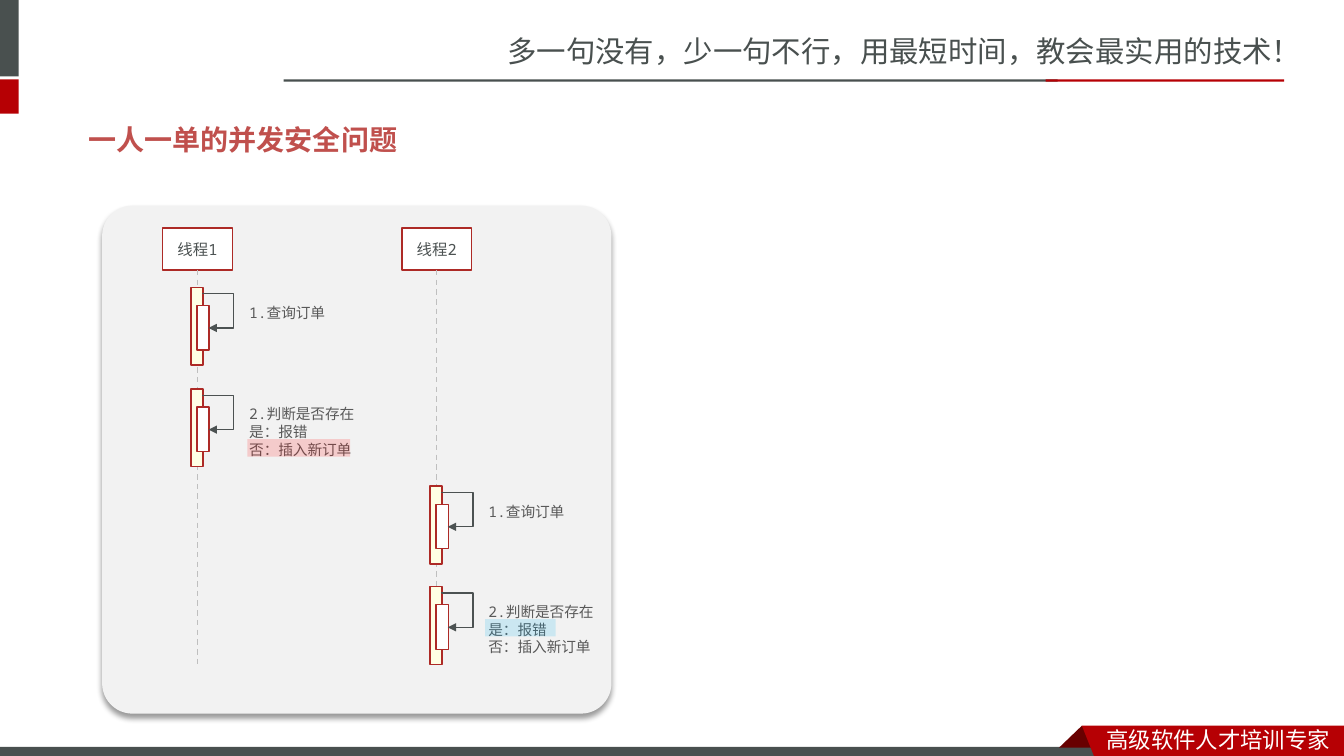
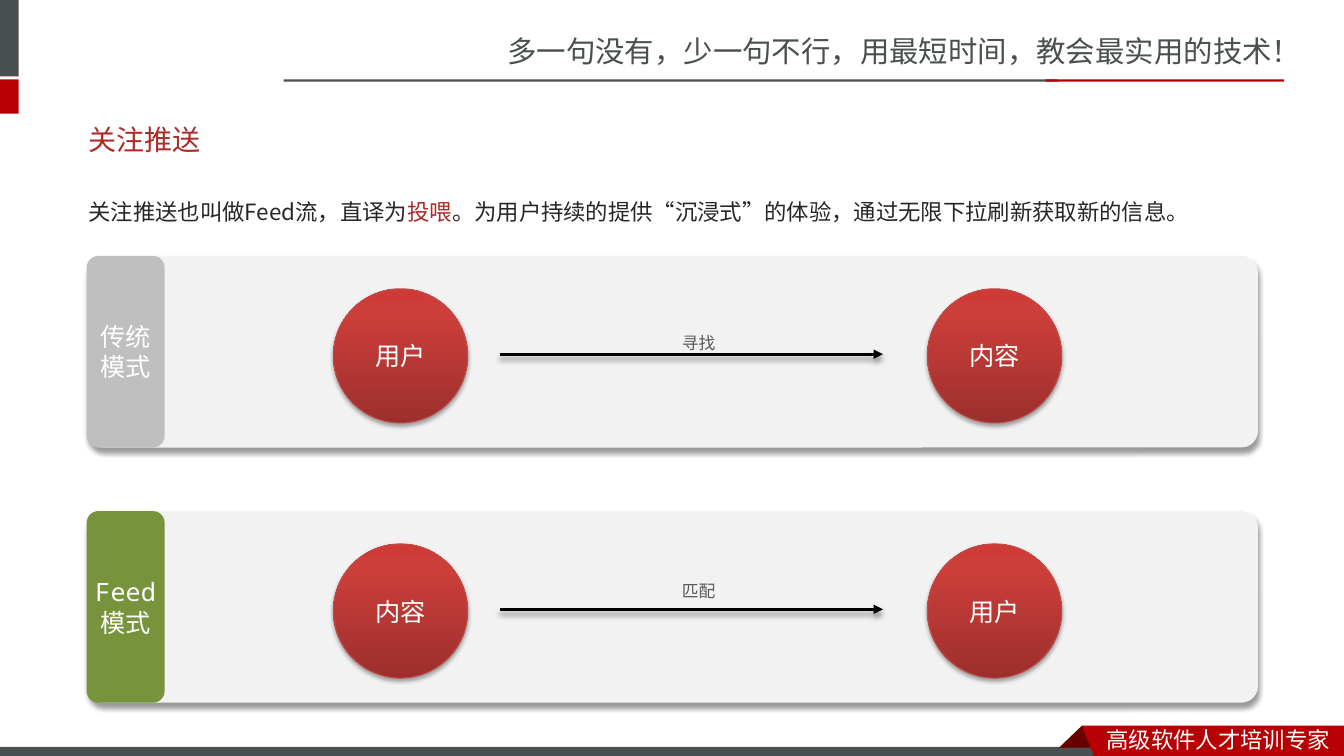
import pptx
import pptx.dml.color
import pptx.enum.dml
import pptx.enum.shapes
import pptx.enum.text
import pptx.oxml
import pptx.oxml.ns
import pptx.util
from lxml import etree

SHAPE = pptx.enum.shapes.MSO_SHAPE
LINK = pptx.enum.shapes.MSO_CONNECTOR
ANCHOR = pptx.enum.text.MSO_ANCHOR
CENTER = pptx.enum.text.PP_ALIGN.CENTER
GROW = pptx.enum.text.MSO_AUTO_SIZE.SHAPE_TO_FIT_TEXT
DASH = pptx.enum.dml.MSO_LINE.DASH
Pt, Inches = pptx.util.Pt, pptx.util.Inches
qn = pptx.oxml.ns.qn

WIDTH, HEIGHT = Inches(13.33), Inches(7.5)


class Theme:
    # Colours
    slate, red, fold = "49504F", "B60004", "680000"
    accent, title_soft, ink, note = "AD2A26", "C0504D", "262626", "595959"
    head, white, black = "4C5252", "FFFFFF", "000000"
    panel, grey, green, cream = "F2F2F2", "BFBFBF", "77933C", "FFFFE4"
    mark_red, mark_blue, ball_line = "FF0000", "00B0F0", "BF4C48"
    ball = ((0, "9C2F2D"), (80, "CB3E3A"), (100, "CE3B37"))
    # Type sizes
    slogan_size, title_size, body_size, ribbon_size = 21, 20, 16, 16
    ball_size, label_size, head_size, note_size = 18, 12, 11, 10.5
    # Fonts
    sans, body, mono, roman = "Noto Sans CJK SC", "Noto Sans CJK JP", "Noto Sans Mono", "Roboto"
    # Shadows: opacity %, blur, distance
    deep, light = (40, 4, 3), (35, 3.1, 1.8)


# Lengths are percentages of the slide's width and height
def col(share):
    return round(WIDTH * share / 100)


def row(share):
    return round(HEIGHT * share / 100)


def box(x, y, w, h):
    return col(x), row(y), col(w), row(h)


def rgb(value):
    return pptx.dml.color.RGBColor.from_string(value)


def apply(target, values):
    for name, value in values.items():
        setattr(target, name, value)


def add_xml(parent, tag, **attrs):
    return etree.SubElement(parent, qn(tag), {k: str(v) for k, v in attrs.items()})


# Effects, fills and arrowheads
def cast_shadow(effects, shadow):
    opacity, blur, distance = shadow
    outer = add_xml(effects, "a:outerShdw", blurRad=Pt(blur), dist=Pt(distance),
                    dir=5400000, algn="t", rotWithShape=0)
    color = add_xml(outer, "a:srgbClr", val=Theme.black)
    add_xml(color, "a:alpha", val=opacity * 1000)


def fill_gradient(sp, stops):
    sp.fill.gradient()
    sp.fill.gradient_angle = 90
    gs_list = sp._element.spPr.find(".//" + qn("a:gsLst"))
    for gs in list(gs_list):
        gs_list.remove(gs)
    for pos, value in stops:
        gs = add_xml(gs_list, "a:gs", pos=pos * 1000)
        add_xml(gs, "a:srgbClr", val=value)


def paint(sp, fill, line=None, weight=1, shadow=None, opacity=100):
    sp.shadow.inherit = False
    if isinstance(fill, tuple):
        fill_gradient(sp, fill)
    else:
        sp.fill.solid()
        sp.fill.fore_color.rgb = rgb(fill)
        if opacity < 100:
            color = sp._element.spPr.find(".//" + qn("a:srgbClr"))
            add_xml(color, "a:alpha", val=opacity * 1000)
    if line:
        sp.line.color.rgb = rgb(line)
        sp.line.width = Pt(weight)
    else:
        sp.line.fill.background()
    if shadow:
        cast_shadow(sp._element.spPr.find(qn("a:effectLst")), shadow)
    return sp


# Text: each line is a string or a list of (text, colour) runs
def write(tf, lines, size, font, color, bold=False, frame=None, para=None):
    apply(tf, {"word_wrap": True, **(frame or {})})
    for i, line in enumerate(lines):
        p = tf.paragraphs[0] if i == 0 else tf.add_paragraph()
        apply(p, para or {})
        for text, shade in ([(line, color)] if isinstance(line, str) else line):
            r = p.add_run()
            r.text = text
            apply(r.font, {"size": Pt(size), "bold": bold, "name": font})
            r.font.color.rgb = rgb(shade)
            add_xml(r._r.get_or_add_rPr(), "a:ea", typeface=font)


def text_box(s, at, lines, size, font, color, bold=False, frame=None, para=None):
    tf = s.shapes.add_textbox(*box(*at)).text_frame
    write(tf, lines, size, font, color, bold, {"auto_size": GROW, **(frame or {})}, para)


def shape(host, kind, at, fill, adj=None, **style):
    sp = host.shapes.add_shape(kind, *box(*at))
    if adj is not None:
        sp.adjustments[0] = adj
    return paint(sp, fill, **style)


def shape_text(sp, text, size, color, **frame):
    write(sp.text_frame, [text], size, Theme.mono, color,
          frame={"vertical_anchor": ANCHOR.MIDDLE, **frame}, para={"alignment": CENTER})


def polygon(s, points, fill):
    start, *rest = [(col(x), row(y)) for x, y in points]
    builder = s.shapes.build_freeform(*start)
    builder.add_line_segments(rest, close=True)
    paint(builder.convert_to_shape(), fill)


def connector(s, kind, start, end, color, weight, dash=None, arrow=False, shadow=None):
    c = s.shapes.add_connector(kind, col(start[0]), row(start[1]), col(end[0]), row(end[1]))
    c.line.color.rgb = rgb(color)
    apply(c.line, {"width": Pt(weight), "dash_style": dash})
    if arrow:
        add_xml(c.line._get_or_add_ln(), "a:tailEnd", type="triangle")
    effects = add_xml(c._element.spPr, "a:effectLst")
    if shadow:
        cast_shadow(effects, shadow)
    return c


# Shared frame: slogan, side tabs, rules, footer ribbon and title
def new_slide(prs, title, color, font, bold=False):
    s = prs.slides.add_slide(prs.slide_layouts[6])
    text_box(s, (37, 3.75, 63, 6.25), ["多一句没有，少一句不行，用最短时间，教会最实用的技术！"],
             Theme.slogan_size, Theme.sans, Theme.slate)
    for at, fill in (((0, 0, 1.4, 10.1), Theme.slate),
                     ((0, 10.5, 1.4, 4.55), Theme.red),
                     ((21.1, 10.5, 57.6, 0.3), Theme.slate),
                     ((77.8, 10.5, 17.75, 0.3), Theme.red),
                     ((0, 98.8, 82.1, 1.2), Theme.slate)):
        shape(s, SHAPE.RECTANGLE, at, fill)
    polygon(s, ((80.5, 96), (82.1, 98.9), (78.8, 98.9)), Theme.fold)
    polygon(s, ((80.5, 96), (100, 96), (100, 100), (81.4, 100)), Theme.red)
    text_box(s, (81.6, 95.4, 18.4, 4.9), ["高级软件人才培训专家"],
             Theme.ribbon_size, Theme.sans, Theme.white)
    text_box(s, (5.85, 15.45, 87.75, 5.9), [title], Theme.title_size, font, color, bold,
             frame={"vertical_anchor": ANCHOR.MIDDLE})
    return s


# Sequence diagram parts
def lifeline(s, x, name):
    head = shape(s, SHAPE.RECTANGLE, (x - 2.6, 30.15, 5.2, 5.55), Theme.white, line=Theme.accent)
    shape_text(head, name, Theme.head_size, Theme.head)
    c = connector(s, LINK.STRAIGHT, (x, 35.7), (x, 88.15), Theme.grey, 1, dash=DASH)
    c.begin_connect(head, 2)


def self_call(s, x, y, lines):
    left = x - 0.5
    for at, fill in (((left, y, 0.9, 10.3), Theme.cream),
                     ((left + 0.45, y + 2.4, 0.9, 5.9), Theme.white)):
        shape(s, SHAPE.RECTANGLE, at, fill, line=Theme.accent)
    # Loop arrow: a four-part elbow turned by 270 degrees
    c = connector(s, LINK.ELBOW, (left + 2.4, y + 2.7), (left - 0.2, y + 3.45),
                  Theme.head, 1, arrow=True)
    sp_pr = c._element.spPr
    sp_pr.find(qn("a:xfrm")).set("rot", "16200000")
    geom = sp_pr.find(qn("a:prstGeom"))
    geom.set("prst", "bentConnector4")
    guides = geom.find(qn("a:avLst"))
    for name, value in (("adj1", 2000), ("adj2", 543400)):
        add_xml(guides, "a:gd", name=name, fmla=f"val {value}")
    text_box(s, (left + 3.6, y + 1.5, 12, 1.35 + 2.35 * len(lines)), lines,
             Theme.note_size, Theme.mono, Theme.note)


def concurrency_slide(prs):
    s = new_slide(prs, "一人一单的并发安全问题", Theme.title_soft, Theme.body, bold=True)
    shape(s, SHAPE.ROUNDED_RECTANGLE, (7.6, 27.2, 37.9, 67.2), Theme.panel, 0.06,
          shadow=Theme.deep)
    query = ["1.查询订单"]
    check = ["2.判断是否存在", "是：报错", "否：插入新订单"]
    for x, name, query_y, check_y in ((14.7, "线程1", 38, 51.45), (32.5, "线程2", 64.3, 77.6)):
        lifeline(s, x, name)
        self_call(s, x, query_y, query)
        self_call(s, x, check_y, check)
    # Translucent marks over the branch taken
    for at, fill in (((18.4, 58.1, 7.65, 2.3), Theme.mark_red),
                     ((36.1, 81.9, 5.25, 2.3), Theme.mark_blue)):
        shape(s, SHAPE.RECTANGLE, at, fill, opacity=16)


# Feed mode band: tab, two balls and an arrow between them
def mode_band(s, y, mode, tab_fill, source, target, action, action_dy):
    group = s.shapes.add_group_shape()
    shape(group, SHAPE.ROUNDED_RECTANGLE, (6.45, y, 87.15, 25.35), Theme.panel, 0.087,
          shadow=Theme.deep)
    tab = shape(group, SHAPE.ROUNDED_RECTANGLE, (6.45, y, 5.8, 25.35), tab_fill, 0.149)
    shape_text(tab, mode, Theme.ball_size, Theme.white, margin_left=0, margin_right=0)
    for x, text in ((24.8, source), (69, target)):
        ball = shape(s, SHAPE.OVAL, (x, y + 4.35, 10, 17.75), Theme.ball,
                     line=Theme.ball_line, weight=0.75, shadow=Theme.light)
        shape_text(ball, text, Theme.ball_size, Theme.white)
    connector(s, LINK.STRAIGHT, (37.2, y + 13), (65.7, y + 13), Theme.black, 2.25,
              arrow=True, shadow=Theme.deep)
    text_box(s, (50, y + action_dy, 6.2, 4), [action], Theme.label_size, Theme.mono, Theme.note)


def feed_slide(prs):
    s = new_slide(prs, "关注推送", Theme.accent, Theme.roman)
    intro = [("关注推送也叫做Feed流，直译为", Theme.ink), ("投喂", Theme.accent),
             ("。为用户持续的提供“沉浸式”的体验，通过无限下拉刷新获取新的信息。", Theme.ink)]
    text_box(s, (5.85, 23.75, 87.75, 8), [intro], Theme.body_size, Theme.body, Theme.ink,
             para={"line_spacing": 1.5})
    mode_band(s, 33.85, "传统模式", Theme.grey, "用户", "内容", "寻找", 9.45)
    mode_band(s, 67.6, "Feed模式", Theme.green, "内容", "用户", "匹配", 8.5)


def main():
    prs = pptx.Presentation()
    apply(prs, {"slide_width": WIDTH, "slide_height": HEIGHT})
    concurrency_slide(prs)
    feed_slide(prs)
    prs.save("out.pptx")


if __name__ == "__main__":
    main()
